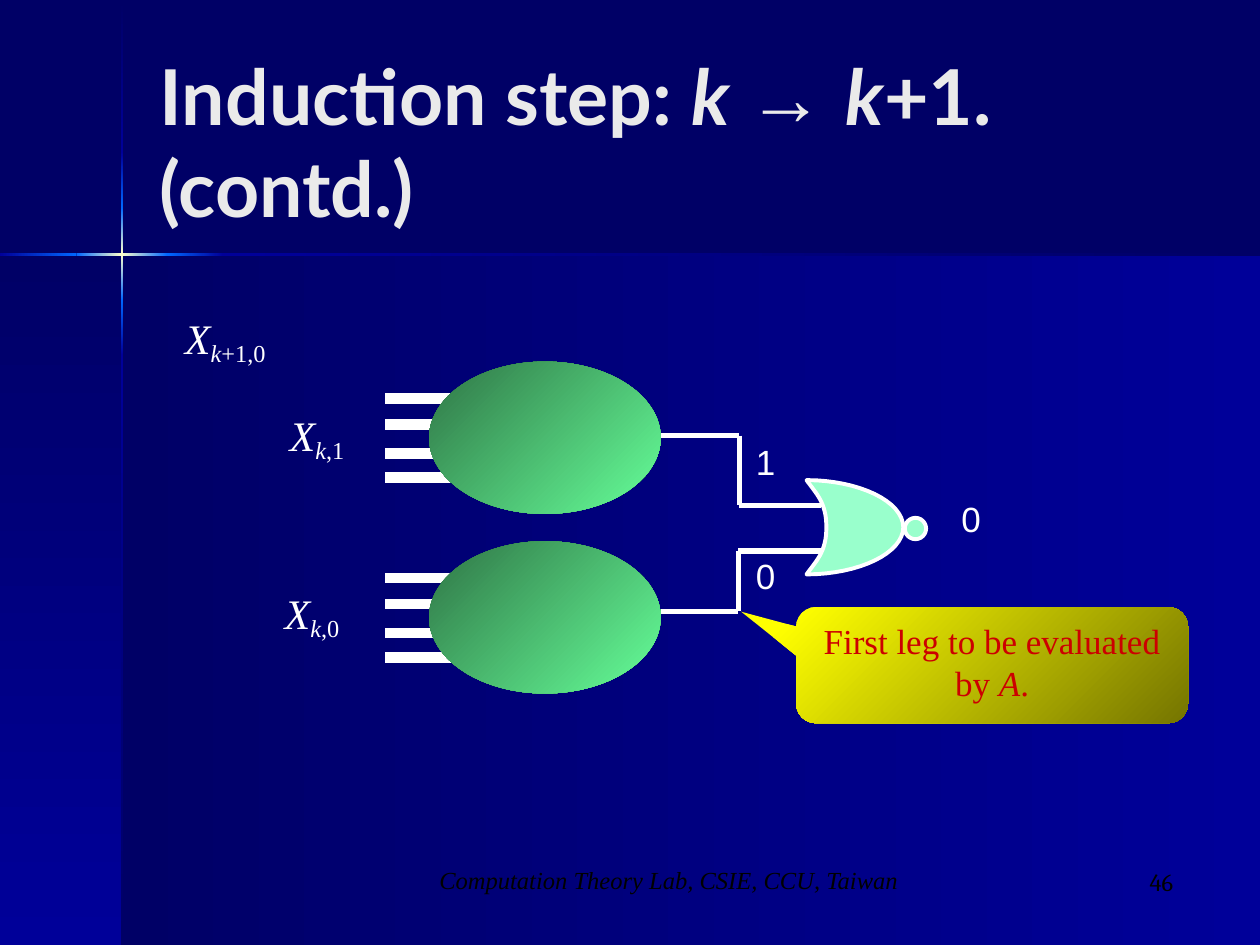
from dataclasses import dataclass
from itertools import pairwise
from typing import NamedTuple

from lxml.etree import SubElement
from pptx import Presentation
from pptx.dml.color import RGBColor as RGB
from pptx.enum.shapes import MSO_CONNECTOR as Link, MSO_SHAPE as Kind
from pptx.enum.text import MSO_ANCHOR as Anchor, PP_ALIGN as Align
from pptx.oxml.ns import qn
from pptx.util import Cm, Pt

WHITE = RGB(0xFF, 0xFF, 0xFF)
BLACK = RGB(0x00, 0x00, 0x00)
PALE = RGB(0xEA, 0xEA, 0xEA)
RED = RGB(0xCC, 0x00, 0x00)
NAVY = RGB(0x00, 0x00, 0x66)
BLUE = RGB(0x00, 0x00, 0x99)
BRIGHT = RGB(0x00, 0x66, 0xFF)
CREAM = RGB(0xFF, 0xFF, 0xCC)
MINT = RGB(0x99, 0xFF, 0xCC)
GREEN = RGB(0x66, 0xFF, 0x99)
FOREST = RGB(0x2F, 0x75, 0x46)
YELLOW = RGB(0xFF, 0xFF, 0x00)
OLIVE = RGB(0x75, 0x75, 0x00)

WIDE, HIGH = 25.4, 19.05
SIDE, TOP = 2.46, 5.13
THIN = 0.05
SERIF = "Times New Roman"


class Box(NamedTuple):
    x: float
    y: float
    w: float
    h: float


class Glow(NamedTuple):
    place: float
    color: RGB


class Piece(NamedTuple):
    text: str
    slant: bool = False
    low: bool = False
    font: str | None = None


@dataclass
class Style:
    font: str
    size: int
    color: RGB
    bold: bool = False
    align: Align = Align.LEFT
    anchor: Anchor = Anchor.TOP
    tight: bool = False


@dataclass
class Label:
    box: Box
    words: list[Piece]
    style: Style


TITLE = Style("Lato", 44, PALE, bold=True, anchor=Anchor.MIDDLE)
INPUT = Style(SERIF, 24, WHITE)
BIT = Style("Arial", 20, WHITE, anchor=Anchor.BOTTOM, tight=True)
NOTE = Style(SERIF, 20, RED, align=Align.CENTER)
FOOT = Style(SERIF, 14, BLACK, align=Align.CENTER)
PAGE = Style("Cambria", 14, BLACK, align=Align.RIGHT)


def var(box: Box, rest: str) -> Label:
    """Label for an input vector X with index k and the rest of the index."""
    words = [Piece("X", slant=True), Piece("k", slant=True, low=True), Piece(rest, low=True)]
    return Label(box, words, INPUT)


def bit(x: float, y: float, text: str) -> Label:
    return Label(Box(x, y, 0.36, 0.46), [Piece(text)], BIT)


LABELS = [
    Label(Box(2.97, 0.84, 20.96, 3.99),
          [Piece("Induction step: "), Piece("k ", slant=True), Piece("→ ", font="Arial"),
           Piece("k", slant=True), Piece("+1. (contd.)")], TITLE),
    bit(15.24, 11.56, "0"),
    bit(19.38, 10.41, "0"),
    bit(15.24, 9.27, "1"),
    var(Box(5.59, 8.13, 1.88, 1.37), ",1"),
    var(Box(5.49, 11.71, 1.88, 1.37), ",0"),
    var(Box(3.48, 6.17, 2.64, 1.37), "+1,0"),
    Label(Box(7.95, 17.32, 11.07, 1.27),
          [Piece("Computation Theory Lab, CSIE, CCU, Taiwan", slant=True)], FOOT),
    Label(Box(18.62, 17.35, 5.28, 1.27), [Piece("46")], PAGE),
]

DOWN = [Glow(0, NAVY), Glow(3.07, BLUE), Glow(4.19, BRIGHT), Glow(5.12, CREAM),
        Glow(6.05, BRIGHT), Glow(7.16, BLUE), Glow(HIGH, NAVY)]
ACROSS = [Glow(0, BLUE), Glow(1.54, BRIGHT), Glow(2.45, CREAM),
          Glow(3.38, BRIGHT), Glow(4.5, BLUE), Glow(WIDE, NAVY)]

WIRES = [
    [(13.3, 8.78), (14.9, 8.78), (14.9, 10.19), (16.55, 10.19)],
    [(13.3, 12.32), (14.88, 12.32), (14.88, 11.11), (16.55, 11.11)],
]
PINS = [8.03, 8.56, 9.14, 9.63]
DROP = 3.62

# Each curve: start, two control points, end
GATE = [
    [(16.26, 11.58), (16.46, 11.3), (16.66, 11.13), (16.66, 10.63)],
    [(16.66, 10.63), (16.66, 10.13), (16.46, 9.96), (16.26, 9.68)],
    [(16.26, 9.68), (17.32, 9.68), (18.21, 10.11), (18.21, 10.63)],
    [(18.21, 10.63), (18.21, 11.15), (17.32, 11.58), (16.26, 11.58)],
]


def add_shape(slide, kind: Kind, box: Box):
    shape = slide.shapes.add_shape(kind, *map(Cm, box))
    shape.shadow.inherit = False
    shape.line.fill.background()
    return shape


def shade(shape, start: RGB, end: RGB, turn: int) -> None:
    """Fill with a gradient whose direction is turned clockwise from rightward."""
    fill = shape.fill
    fill.gradient()
    fill.gradient_angle = (360 - turn) % 360
    for stop, color in zip(fill.gradient_stops, (start, end)):
        stop.color.rgb = color


def outline(shape) -> None:
    """Give a gate element its mint fill and white edge."""
    shape.shadow.inherit = False
    shape.fill.solid()
    shape.fill.fore_color.rgb = MINT
    shape.line.color.rgb = WHITE
    shape.line.width = Pt(2.25)


def add_line(slide, start: tuple, end: tuple, width: float) -> None:
    line = slide.shapes.add_connector(Link.STRAIGHT, *map(Cm, start + end))
    line.line.color.rgb = WHITE
    line.line.width = Pt(width)
    SubElement(line._element.spPr, qn("a:effectLst"))


def write(frame, words: list[Piece], style: Style) -> None:
    frame.word_wrap = not style.tight
    frame.vertical_anchor = style.anchor
    if style.tight:
        frame.margin_left = frame.margin_top = frame.margin_right = frame.margin_bottom = 0
    para = frame.paragraphs[0]
    para.text = words[0].text
    para.alignment = style.align
    for piece in words[1:]:
        para.add_run().text = piece.text
    for run, piece in zip(para.runs, words):
        font = run.font
        font.name = piece.font or style.font
        font.size = Pt(style.size)
        font.bold = style.bold
        font.italic = piece.slant
        font.color.rgb = style.color
        if piece.low:
            run._r.get_or_add_rPr().set("baseline", "-20000")


def add_label(slide, label: Label) -> None:
    box = slide.shapes.add_textbox(*map(Cm, label.box))
    write(box.text_frame, label.words, label.style)


def add_back(slide) -> None:
    """Draw the two panels and the glowing cross."""
    main_pane = add_shape(slide, Kind.RECTANGLE, Box(SIDE, TOP, WIDE - SIDE, HIGH - TOP))
    shade(main_pane, NAVY, BLUE, 0)
    left = add_shape(slide, Kind.RECTANGLE, Box(0, TOP, SIDE, HIGH - TOP))
    shade(left, NAVY, BLUE, 90)
    for a, b in pairwise(DOWN):
        bar = add_shape(slide, Kind.RECTANGLE, Box(2.44, a.place, THIN, b.place - a.place))
        shade(bar, a.color, b.color, 90)
    for a, b in pairwise(ACROSS):
        bar = add_shape(slide, Kind.RECTANGLE, Box(a.place, 5.11, b.place - a.place, THIN))
        shade(bar, a.color, b.color, 0)


def curve(ends: list[tuple], steps: int = 16) -> list[tuple]:
    """Points along a cubic curve, without its start."""
    points = []
    for step in range(1, steps + 1):
        t = step / steps
        mix = ((1 - t) ** 3, 3 * t * (1 - t) ** 2, 3 * t * t * (1 - t), t ** 3)
        points.append(tuple(Cm(sum(m * v for m, v in zip(mix, axis))) for axis in zip(*ends)))
    return points


def add_gate(slide) -> None:
    build = slide.shapes.build_freeform(*map(Cm, GATE[0][0]))
    build.add_line_segments([point for ends in GATE for point in curve(ends)], close=True)
    outline(build.convert_to_shape())
    outline(add_shape(slide, Kind.OVAL, Box(18.24, 10.44, 0.43, 0.43)))


def add_tree(slide, drop: float) -> None:
    """Draw a subtree with its input pins, moved down by drop."""
    for y in PINS:
        add_line(slide, (7.77, y + drop), (9.65, y + drop), 6)
    oval = add_shape(slide, Kind.OVAL, Box(8.65, 7.29 + drop, 4.67, 3.07))
    shade(oval, FOREST, GREEN, 45)


def add_note(slide) -> None:
    note = add_shape(slide, Kind.ROUNDED_RECTANGULAR_CALLOUT, Box(16.05, 12.24, 7.9, 2.34))
    for index, value in enumerate((-0.64, -0.46, 0.17)):
        note.adjustments[index] = value
    shade(note, YELLOW, OLIVE, 45)
    words = [Piece("First leg to be evaluated by "), Piece("A", slant=True), Piece(".")]
    write(note.text_frame, words, NOTE)


def main() -> None:
    deck = Presentation()
    deck.slide_width, deck.slide_height = Cm(WIDE), Cm(HIGH)
    slide = deck.slides.add_slide(deck.slide_layouts[6])
    slide.background.fill.solid()
    slide.background.fill.fore_color.rgb = NAVY
    add_back(slide)
    add_gate(slide)
    for wire in WIRES:
        for start, end in pairwise(wire):
            add_line(slide, start, end, 3)
    for drop in (0, DROP):
        add_tree(slide, drop)
    add_note(slide)
    for label in LABELS:
        add_label(slide, label)
    deck.save("out.pptx")


if __name__ == "__main__":
    main()
